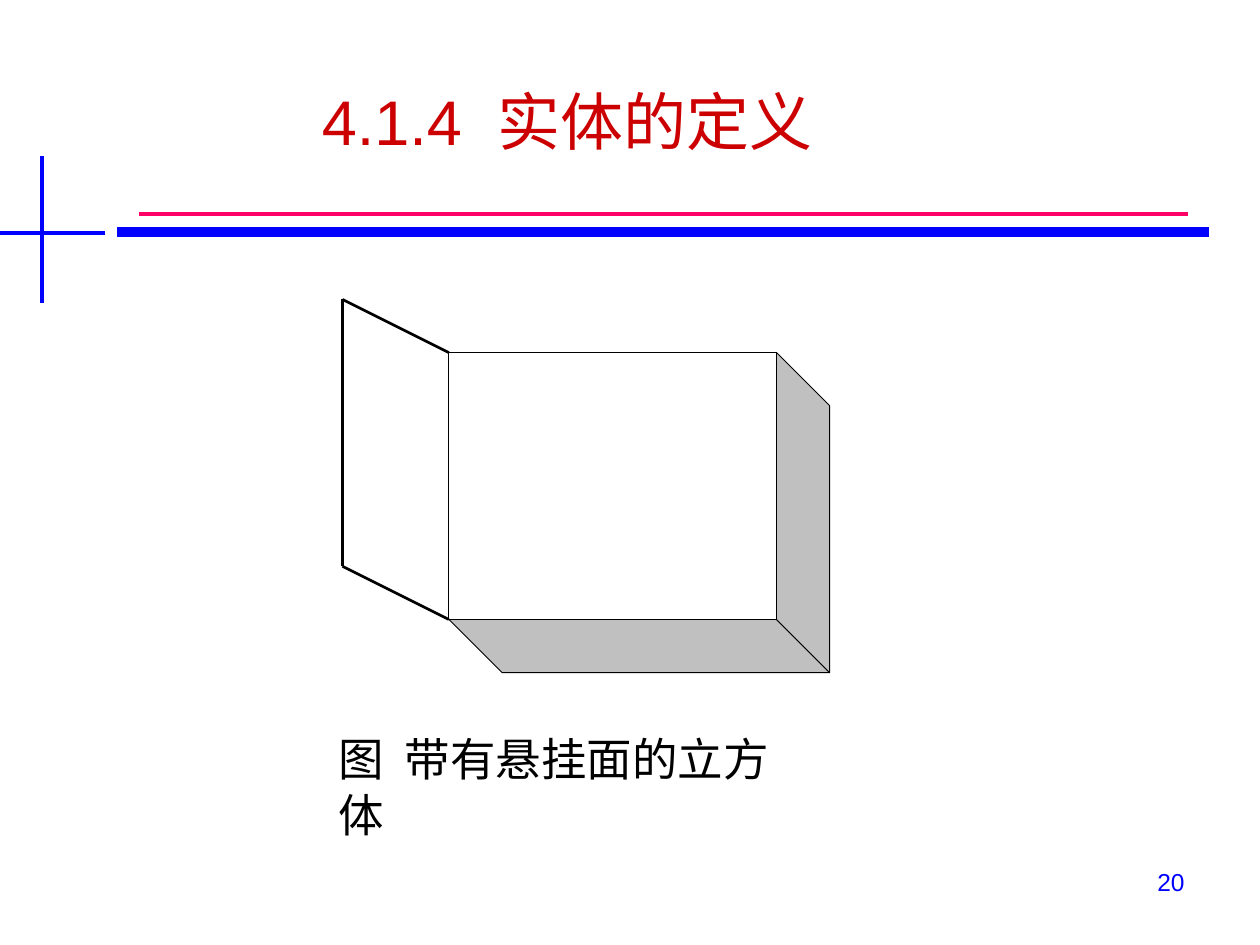
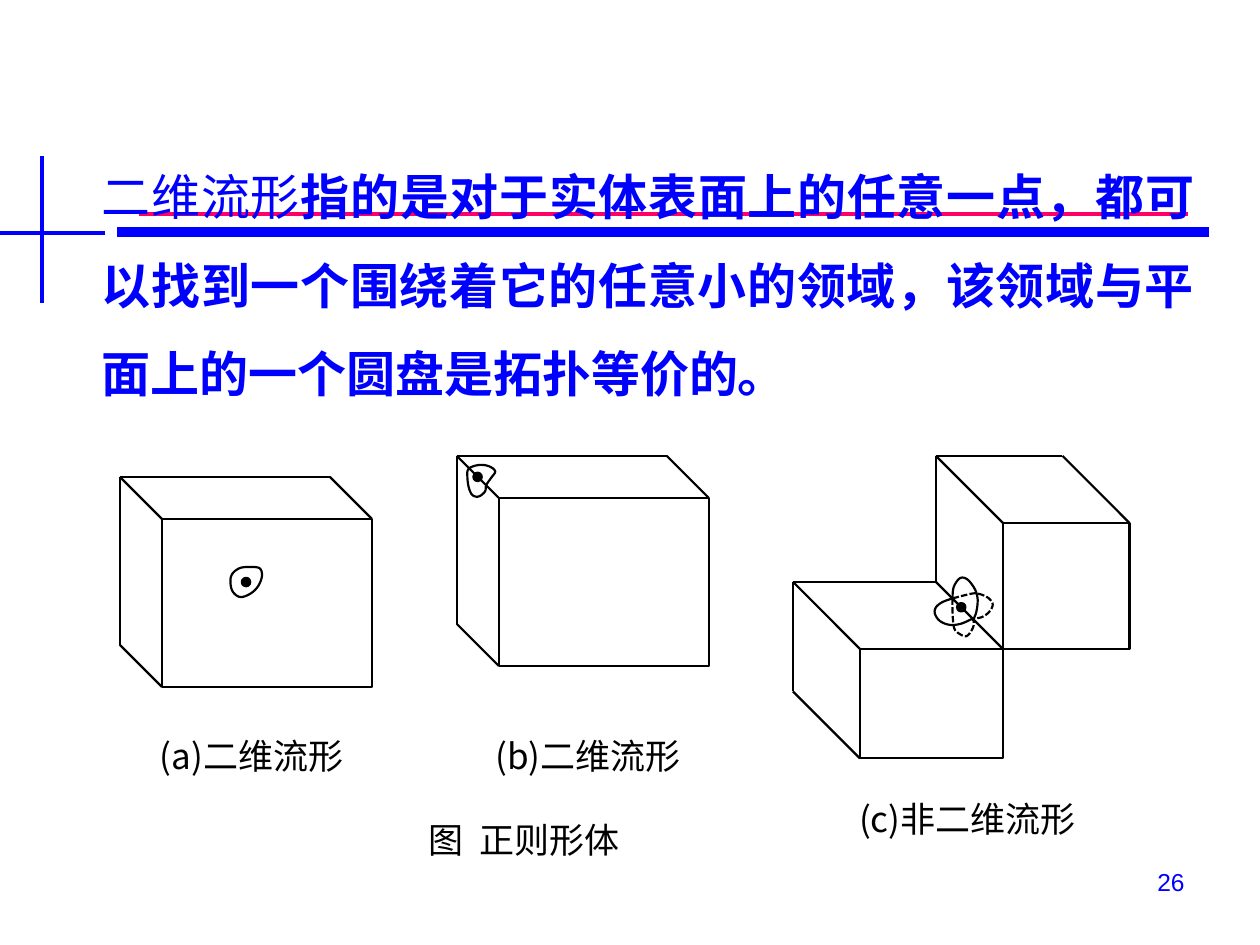
from lxml import etree
from pptx import Presentation
from pptx.dml.color import RGBColor
from pptx.enum.dml import MSO_LINE
from pptx.enum.shapes import MSO_CONNECTOR, MSO_SHAPE
from pptx.enum.text import MSO_ANCHOR, MSO_AUTO_SIZE, PP_ALIGN
from pptx.oxml.ns import qn
from pptx.util import Pt

STRAIGHT = MSO_CONNECTOR.STRAIGHT
RECT, OVAL = MSO_SHAPE.RECTANGLE, MSO_SHAPE.OVAL
DOTTED = MSO_LINE.SQUARE_DOT
LEFT, RIGHT = PP_ALIGN.LEFT, PP_ALIGN.RIGHT
CENTER, JUSTIFY = PP_ALIGN.CENTER, PP_ALIGN.JUSTIFY

BLUE = RGBColor(0x00, 0x00, 0xFF)
PINK = RGBColor(0xFF, 0x00, 0x66)
RED = RGBColor(0xCC, 0x00, 0x00)
BLACK = RGBColor(0x00, 0x00, 0x00)
WHITE = RGBColor(0xFF, 0xFF, 0xFF)
GREY = RGBColor(0xC0, 0xC0, 0xC0)
ARIAL, NOTO = "Arial", "Noto Sans CJK SC"

# Shared frame: start, end, colour, width
RULES = [
    ((79.2, 122.3), (679, 122.3), PINK, 2.25),
    ((66.9, 132.7), (690.7, 132.7), BLUE, 6),
    ((0, 133.2), (60, 133.2), BLUE, 2.25),
    ((24, 89.2), (24, 173.2), BLUE, 2.25),
]
NUMBER_BOX = (516, 492, 168, 37.4)

# Slide 1: cube with a dangling face
TITLE = "4.1.4  实体的定义"
TITLE_BOX = (18, 24, 612, 90)
CUBE_FRONT = (256.5, 201.5, 187.2, 152.5)
CUBE_DEPTH = 30.4
CUBE_CAPTION = ("图  带有悬挂面的立方体", (193.7, 415.4, 272, 31), 26, False)

# Slide 2: definition, then manifold and non-manifold solids
DEFINITION = [
    ("二维流形", False),
    ("指的是对于实体表面上的任意一点，都可以找到一个围绕着它的任意小的领域，"
     "该领域与平面上的一个圆盘是拓扑等价的。", True),
]
DEFINITION_BOX = (24, 72, 666, 168)
# Front face, depth, whether the right top edge belongs to a neighbour
SOLIDS = [
    ((92.5, 296.5, 120, 96), 24, False),
    ((285, 284.5, 120, 96), 24, False),
    ((573.1, 298.8, 72.3, 72), 38.3, False),
    ((491.4, 370.8, 81.7, 62.6), 38.3, True),
]
# Dot centre and the loops around it: offsets from the dot, closed, dotted
NEIGHBOURHOODS = [
    ((140.6, 332.6), [
        ([(7.7, -7.9), (1.9, -8.6), (-3.8, -7.9), (-8.1, -4.3), (-8.9, 0.7),
          (-7.4, 5.8), (-3.1, 8.6), (2.7, 6.5), (7, 2.2), (9.1, -3.6)], True, False),
    ]),
    ((272.9, 272.5), [
        ([(-5, -4.7), (0.7, -6.8), (6.5, -6.1), (10.1, -3.2), (7.9, 0.4), (5, 4.7),
          (4.3, 8.3), (0.7, 11.2), (-2.9, 10.4), (-5, 6.1), (-5.8, -0.4)], True, False),
    ]),
    ((549.3, 347), [
        ([(-5, -5), (-10.8, -2.9), (-14.4, 0), (-15.1, 3.6), (-12.2, 7.9),
          (-6.5, 10.1), (0, 9.4), (6.5, 6.5)], False, False),
        ([(-5, -5), (-4.3, -11.5), (-0.7, -16.6), (3.6, -15.8), (7.9, -10.1),
          (9.4, -4.3), (8.6, 2.9), (6.5, 7.9)], False, False),
        ([(-5, -5), (0.7, -6.5), (7.2, -7.9), (11.5, -7.2), (15.8, -5), (18, -1.4),
          (15.8, 2.9), (11.5, 5.8), (6.5, 6.5)], False, True),
        ([(-5, -5), (-5, 1.4), (-4.3, 10.8), (-2.2, 14.4), (2.9, 16.6), (6.5, 12.2),
          (7.2, 8.6), (6.5, 6.5)], False, True),
    ]),
]
DOT_SIZE = 4.8
# Text, box, size, whether it wraps
SOLID_CAPTIONS = [
    ("(a)二维流形", (91.4, 417.6, 108, 24), 20, True),
    ("(b)二维流形", (283, 417.6, 109.4, 24), 20, True),
    ("(c)非二维流形", (491, 453.6, 126.7, 24), 20, True),
    ("图  正则形体", (244.8, 465.8, 109.4, 24), 20, False),
]


def lengths(box):
    return [Pt(v) for v in box]


def add_run(p, text, size, color, font=ARIAL, bold=False):
    r = p.add_run()
    r.text = text
    r.font.name, r.font.size, r.font.bold = font, Pt(size), bold
    r.font.color.rgb = color
    ea = etree.SubElement(r.font._element, qn("a:ea"))
    ea.set("typeface", NOTO)


def add_line(s, start, end, color=BLACK, width=1.25):
    ln = s.shapes.add_connector(STRAIGHT, *lengths(start + end))
    ln.line.color.rgb, ln.line.width = color, Pt(width)
    etree.SubElement(ln.element.spPr, qn("a:effectLst"))


def style(sp, fill, width):
    sp.shadow.inherit = False
    if fill is None:
        sp.fill.background()
    else:
        sp.fill.solid()
        sp.fill.fore_color.rgb = fill
    sp.line.color.rgb, sp.line.width = BLACK, Pt(width)
    return sp


def add_preset(s, kind, box, fill=None, width=1.25):
    return style(s.shapes.add_shape(kind, *lengths(box)), fill, width)


def add_outline(s, points, fill=None, width=1.25, closed=True):
    points = [lengths(pt) for pt in points]
    fb = s.shapes.build_freeform(*points[0])
    fb.add_line_segments(points[1:], close=closed)
    return style(fb.convert_to_shape(), fill, width)


def smooth_curve(points, closed, steps=4):
    """Catmull-Rom curve through the points."""
    n = len(points)

    def at(i):
        return points[i % n if closed else min(max(i, 0), n - 1)]

    curve = []
    for i in range(n if closed else n - 1):
        for k in range(steps):
            t = k / steps
            curve.append(tuple(
                b + t * (c - a) / 2 + t**2 * (2 * a - 5 * b + 4 * c - d) / 2
                + t**3 * (3 * b - a - 3 * c + d) / 2
                for a, b, c, d in zip(at(i - 1), at(i), at(i + 1), at(i + 2))))
    return curve if closed else curve + [points[-1]]


def add_caption(s, text, box, size, wrap):
    tf = s.shapes.add_textbox(*lengths(box)).text_frame
    tf.word_wrap = wrap
    tf.margin_left = tf.margin_right = tf.margin_bottom = 0
    tf.margin_top = Pt(0.08 * size)
    p = tf.paragraphs[0]
    p.alignment, p.line_spacing = LEFT, Pt(1.22 * size)
    add_run(p, text, size, BLACK, NOTO)


def add_frame(s, number):
    for rule in RULES:
        add_line(s, *rule)
    tf = s.shapes.add_textbox(*lengths(NUMBER_BOX)).text_frame
    tf.word_wrap = True
    p = tf.paragraphs[0]
    p.alignment = RIGHT
    add_run(p, str(number), 14, BLUE)


def place(ph, box):
    """Position a placeholder in front of the frame."""
    ph.left, ph.top, ph.width, ph.height = lengths(box)
    ph.element.getparent().append(ph.element)
    ph.text_frame.auto_size = MSO_AUTO_SIZE.NONE
    return ph.text_frame


def add_solid(s, front, depth, joined):
    x, y, w, h = front
    add_preset(s, RECT, front)
    top_left, top_right, bottom_left = (x, y), (x + w, y), (x, y + h)
    back_left, back_right, back_bottom = [
        (px - depth, py - depth) for px, py in (top_left, top_right, bottom_left)]
    edges = [(back_left, back_right), (back_left, back_bottom),
             (back_left, top_left), (back_bottom, bottom_left)]
    if not joined:
        edges.append((back_right, top_right))
    for start, end in edges:
        add_line(s, start, end)


def cube_slide(prs):
    s = prs.slides.add_slide(prs.slide_layouts[5])
    add_frame(s, 20)
    tf = place(s.shapes.title, TITLE_BOX)
    tf.vertical_anchor = MSO_ANCHOR.MIDDLE
    p = tf.paragraphs[0]
    p.alignment = CENTER
    add_run(p, TITLE, 36, RED)

    # Shaded bottom and right faces, then the front
    x, y, w, h = CUBE_FRONT
    d, right, bottom = CUBE_DEPTH, x + w, y + h
    corner = (right + d, bottom + d)
    add_outline(s, [(right, bottom), (x, bottom), (x + d, bottom + d), corner], GREY, 0.5)
    add_outline(s, [corner, (right, bottom), (right, y), (right + d, y + d)], GREY, 0.5)
    add_preset(s, RECT, CUBE_FRONT, WHITE, 0.5)

    # Dangling face
    flap = [(x, bottom), (x - 2 * d, bottom - d), (x - 2 * d, y - d), (x, y)]
    for start, end in zip(flap, flap[1:]):
        add_line(s, start, end, width=1.5)
    add_caption(s, *CUBE_CAPTION)


def manifold_slide(prs):
    s = prs.slides.add_slide(prs.slide_layouts[1])
    title = s.shapes.title.element
    title.getparent().remove(title)
    add_frame(s, 26)

    # Definition
    tf = place(s.placeholders[1], DEFINITION_BOX)
    tf.margin_top = Pt(6.3)
    p = tf.paragraphs[0]
    pPr = p._p.get_or_add_pPr()
    pPr.set("marL", str(Pt(27)))
    pPr.set("indent", "0")
    etree.SubElement(pPr, qn("a:buNone"))
    p.alignment, p.line_spacing, p.space_before = JUSTIFY, Pt(50.6), Pt(0)
    for text, bold in DEFINITION:
        add_run(p, text, 28, BLUE, bold=bold)

    # Solids with their marked points
    for solid in SOLIDS:
        add_solid(s, *solid)
    for (cx, cy), loops in NEIGHBOURHOODS:
        r = DOT_SIZE / 2
        add_preset(s, OVAL, (cx - r, cy - r, DOT_SIZE, DOT_SIZE), BLACK)
        for offsets, closed, dotted in loops:
            points = [(cx + dx, cy + dy) for dx, dy in smooth_curve(offsets, closed)]
            sp = add_outline(s, points, closed=closed)
            if dotted:
                sp.line.dash_style = DOTTED
    for caption in SOLID_CAPTIONS:
        add_caption(s, *caption)


def main():
    prs = Presentation()
    prs.slide_width, prs.slide_height = Pt(720), Pt(540)
    cube_slide(prs)
    manifold_slide(prs)
    prs.save("out.pptx")


if __name__ == "__main__":
    main()
